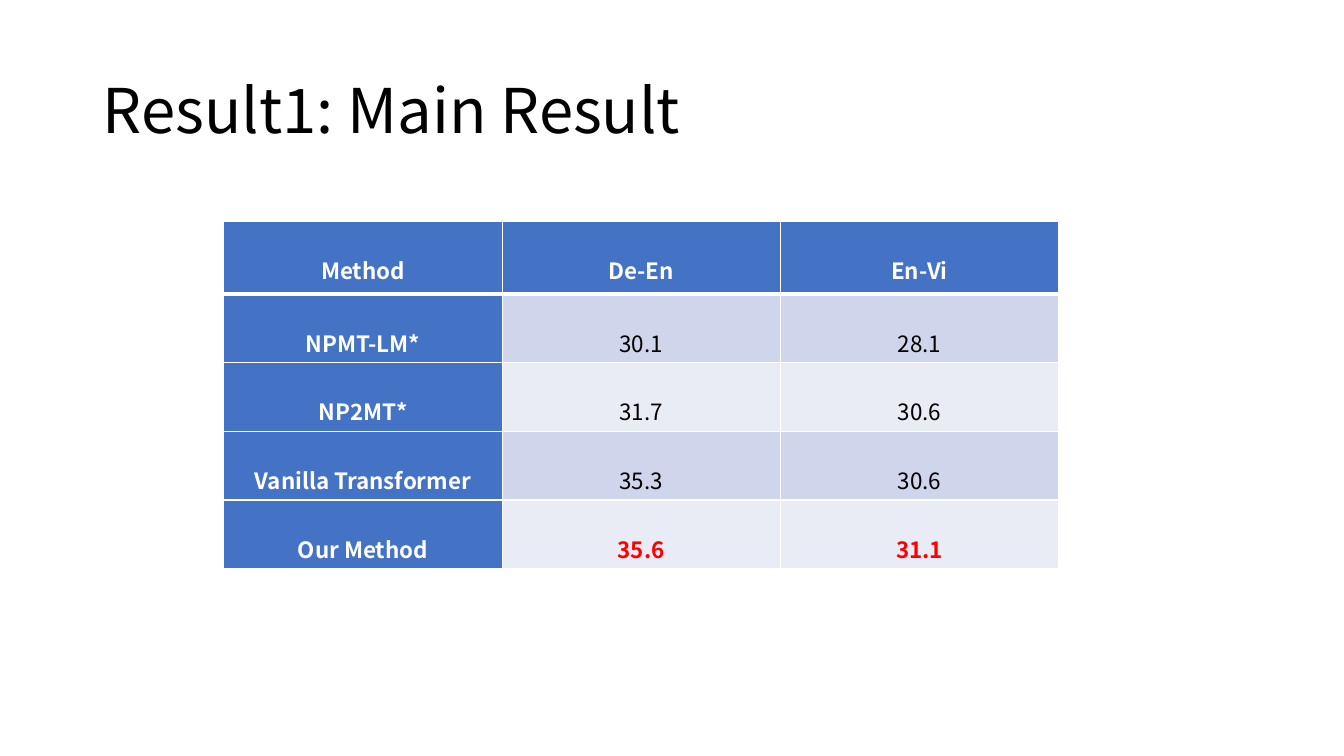
"""Build the main result slide with its table of translation scores."""
from dataclasses import dataclass

from lxml.etree import SubElement
from pptx import Presentation
from pptx.dml.color import RGBColor
from pptx.enum.text import MSO_ANCHOR, MSO_AUTO_SIZE, PP_ALIGN
from pptx.oxml.ns import qn
from pptx.slide import Slide
from pptx.table import Table, _Cell
from pptx.text.text import _Paragraph
from pptx.util import Inches, Pt

SLIDE_WIDTH, SLIDE_HEIGHT = 13.33, 7.5
FONT = "Noto Sans CJK SC"
COLORS = {
    "black": "000000",
    "white": "FFFFFF",
    "heading": "4472C4",
    "odd_row": "CFD5EA",
    "even_row": "E9EBF5",
    "best": "FF0000",
}
TABLE_LEFT, TABLE_TOP = 2.22, 2.2
COLUMN_WIDTH, HEADER_HEIGHT, ROW_HEIGHT = 2.76, 0.72, 0.68
SIDE_INSET = 0.07
THIN_RULE, HEADER_RULE = 1, 3


@dataclass(frozen=True)
class Result:
    method: str
    de_en: str
    en_vi: str
    best: bool = False


HEADER = Result("Method", "De-En", "En-Vi")
RESULTS = [
    Result("NPMT-LM*", "30.1", "28.1"),
    Result("NP2MT*", "31.7", "30.6"),
    Result("Vanilla Transformer", "35.3", "30.6"),
    Result("Our Method", "35.6", "31.1", best=True),
]


def add_text(paragraph: _Paragraph, text: str, size: int, color: str, bold: bool = False) -> None:
    run = paragraph.add_run()
    run.text = text
    run.font.name = FONT
    run.font.size = Pt(size)
    run.font.bold = bold
    run.font.color.rgb = RGBColor.from_string(COLORS[color])


def add_title(slide: Slide, text: str) -> None:
    title = slide.shapes.title
    title.left, title.top = Inches(0.92), Inches(0.4)
    title.width, title.height = Inches(11.5), Inches(1.45)
    frame = title.text_frame
    frame.word_wrap = True
    frame.auto_size = MSO_AUTO_SIZE.NONE
    frame.vertical_anchor = MSO_ANCHOR.MIDDLE
    paragraph = frame.paragraphs[0]
    paragraph.alignment = PP_ALIGN.LEFT
    paragraph.line_spacing = 0.9
    add_text(paragraph, text, 44, "black")


def draw_borders(cell: _Cell, row: int) -> None:
    widths = {
        "a:lnL": THIN_RULE,
        "a:lnR": THIN_RULE,
        "a:lnT": HEADER_RULE if row == 1 else THIN_RULE,
        "a:lnB": HEADER_RULE if row == 0 else THIN_RULE,
    }
    properties = cell._tc.get_or_add_tcPr()
    for side, width in widths.items():
        line = SubElement(properties, qn(side), w=str(Pt(width)))
        fill = SubElement(line, qn("a:solidFill"))
        SubElement(fill, qn("a:srgbClr"), val=COLORS["white"])


def fill_cell(cell: _Cell, row: int, text: str, fill: str, color: str, bold: bool) -> None:
    draw_borders(cell, row)
    cell.fill.solid()
    cell.fill.fore_color.rgb = RGBColor.from_string(COLORS[fill])
    cell.margin_left = cell.margin_right = Inches(SIDE_INSET)
    cell.margin_top = cell.margin_bottom = 0
    paragraph = cell.text_frame.paragraphs[0]
    paragraph.alignment = PP_ALIGN.CENTER
    paragraph.line_spacing = 2.0
    add_text(paragraph, text, 16, color, bold)


def fill_row(table: Table, row: int, result: Result) -> None:
    table.rows[row].height = Inches(ROW_HEIGHT if row else HEADER_HEIGHT)
    band = "odd_row" if row % 2 else "even_row"
    score_color = "best" if result.best else "black"
    for column, text in enumerate((result.method, result.de_en, result.en_vi)):
        if row == 0 or column == 0:
            fill_cell(table.cell(row, column), row, text, "heading", "white", True)
        else:
            fill_cell(table.cell(row, column), row, text, band, score_color, result.best)


def add_results(slide: Slide) -> None:
    entries = [HEADER, *RESULTS]
    table = slide.shapes.add_table(
        len(entries), 3, Inches(TABLE_LEFT), Inches(TABLE_TOP),
        Inches(3 * COLUMN_WIDTH), Inches(HEADER_HEIGHT + len(RESULTS) * ROW_HEIGHT),
    ).table
    table.first_col = True
    for column in table.columns:
        column.width = Inches(COLUMN_WIDTH)
    for row, result in enumerate(entries):
        fill_row(table, row, result)


def main() -> None:
    presentation = Presentation()
    presentation.slide_width = Inches(SLIDE_WIDTH)
    presentation.slide_height = Inches(SLIDE_HEIGHT)
    slide = presentation.slides.add_slide(presentation.slide_layouts.get_by_name("Title Only"))
    add_title(slide, "Result1: Main Result")
    add_results(slide)
    presentation.save("out.pptx")


if __name__ == "__main__":
    main()
